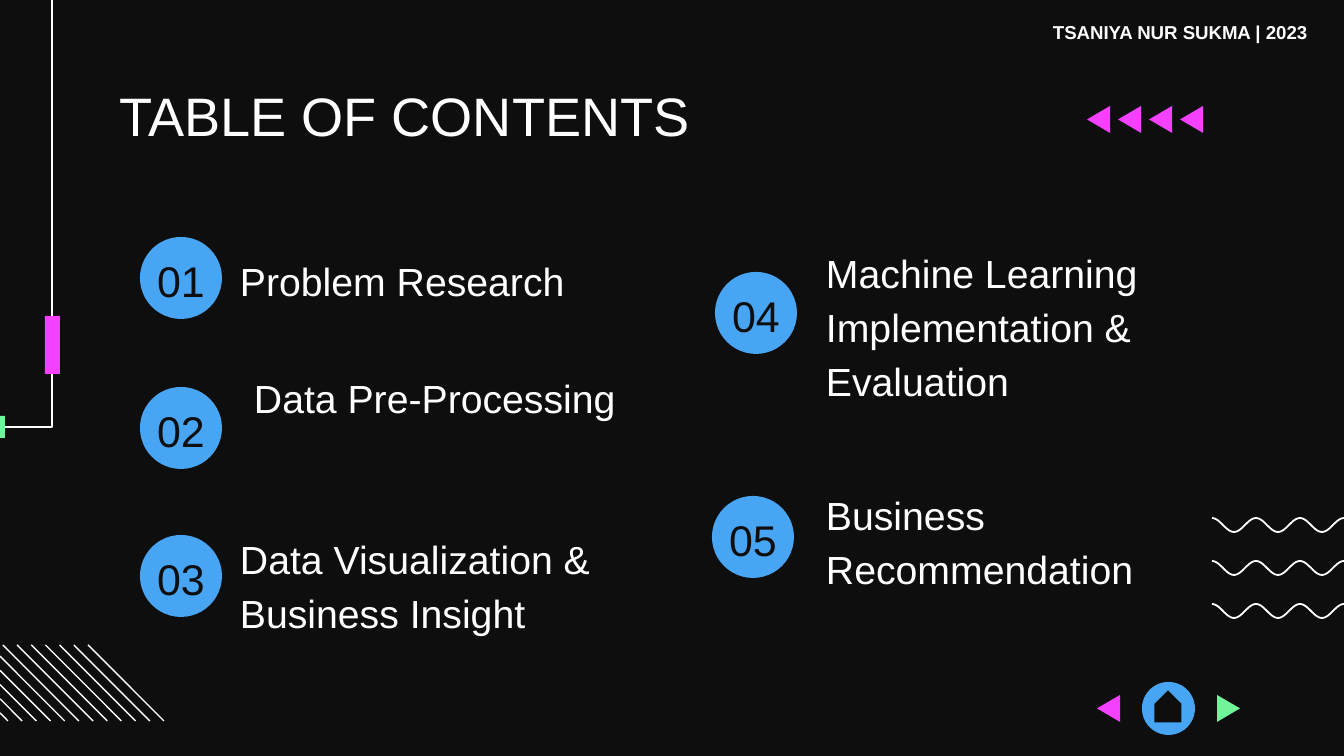
import math

from lxml import etree
from pptx import Presentation, util as u
from pptx.dml.color import RGBColor
from pptx.enum import shapes, text
from pptx.oxml.ns import qn

SCALE = u.Inches(1) / 134.4  # EMU per px
WIDTH, HEIGHT = 1344, 756
FONT = "Arial"
COLORS = {"dark": "0E0E0E", "white": "FFFFFF", "blue": "47A5F3",
          "pink": "F341FF", "green": "72F49A"}

TITLE = "TABLE OF CONTENTS"
BYLINE = "TSANIYA NUR SUKMA | 2023"
# number, badge left and top, topic, topic left and top
CONTENTS = [
    ("01", 140, 237, "Problem Research", 227, 250),
    ("02", 140, 387, "Data Pre-Processing", 241, 367),
    ("03", 140, 535, "Data Visualization & Business Insight", 227, 528),
    ("04", 715, 272, "Machine Learning Implementation & Evaluation", 813, 242),
    ("05", 712, 496, "Business Recommendation", 813, 484),
]
BADGE = 82
TOPIC_WIDTH, TOPIC_HEIGHT = 425, 52
ARROW_WIDTH, ARROW_HEIGHT = 23, 27


def px(*lengths):
    return [u.Emu(round(n * SCALE)) for n in lengths]


def rgb(name):
    return RGBColor.from_string(COLORS[name])


def paint(shape, fill=None, line=None, weight=0.75):
    shape.shadow.inherit = False
    if fill:
        shape.fill.solid()
        shape.fill.fore_color.rgb = rgb(fill)
    else:
        shape.fill.background()
    if line:
        shape.line.color.rgb = rgb(line)
        shape.line.width = u.Pt(weight)
    else:
        shape.line.fill.background()
    return shape


def add_preset(kind, left, top, width, height, fill):
    return paint(slide.shapes.add_shape(kind, *px(left, top, width, height)), fill)


def add_outline(points, close=False, **style):
    start, *rest = [px(*point) for point in points]
    builder = slide.shapes.build_freeform(*start)
    builder.add_line_segments(rest, close=close)
    return paint(builder.convert_to_shape(), **style)


def add_arrow(left, top, fill, right=False):
    tip, base = (left + ARROW_WIDTH, left) if right else (left, left + ARROW_WIDTH)
    add_outline([(base, top), (tip, top + ARROW_HEIGHT / 2),
                 (base, top + ARROW_HEIGHT)], close=True, fill=fill)


def add_line(x1, y1, x2, y2):
    line = slide.shapes.add_connector(
        shapes.MSO_CONNECTOR.STRAIGHT, *px(x1, y1, x2, y2))
    line.line.color.rgb = rgb("white")
    line.line.width = u.Pt(0.75)
    etree.SubElement(line._element.spPr, qn("a:effectLst"))


def write(shape, words, size, color="white", bold=False, align="LEFT",
          anchor="TOP", spacing=None, after=0, insets=(13, 0, 13, 0)):
    frame = shape.text_frame
    frame.word_wrap = True
    frame.vertical_anchor = text.MSO_ANCHOR[anchor]
    (frame.margin_left, frame.margin_top,
     frame.margin_right, frame.margin_bottom) = px(*insets)
    paragraph = frame.paragraphs[0]
    paragraph.alignment = text.PP_ALIGN[align]
    paragraph.space_after = u.Pt(after)
    if spacing:
        paragraph.line_spacing = spacing
    run = paragraph.add_run()
    run.text = words
    run.font.name, run.font.size, run.font.bold = FONT, u.Pt(size), bold
    run.font.color.rgb = rgb(color)


def add_text(left, top, width, height, words, size, **style):
    box = slide.shapes.add_textbox(*px(left, top, width, height))
    write(box, words, size, **style)


prs = Presentation()
prs.slide_width, prs.slide_height = px(WIDTH, HEIGHT)
slide = prs.slides.add_slide(prs.slide_layouts[6])
slide.background.fill.solid()
slide.background.fill.fore_color.rgb = rgb("dark")

# Waves at the right edge: six half periods of 22 px
WAVE_LEFT, HALF_PERIOD, AMPLITUDE = 1212, 22, 7
for wave_top in (518, 561, 604):
    add_outline([(x, wave_top + AMPLITUDE
                  * (1 - math.cos(math.pi * (x - WAVE_LEFT) / HALF_PERIOD)))
                 for x in range(WAVE_LEFT, WIDTH + 1, 2)],
                line="white", weight=0.95)

# Diagonal hatching, cut at the left edge
HATCH_BOTTOM, HATCH_SIZE, HATCH_COUNT = 721, 76, 12
for i in range(HATCH_COUNT):
    end = 8 + 156 * i / (HATCH_COUNT - 1)
    run_length = min(HATCH_SIZE, end)
    add_line(end - run_length, HATCH_BOTTOM - run_length, end, HATCH_BOTTOM)

# Corner line with its two tabs
add_outline([(0, 427), (52, 427), (52, 0)], line="white")
add_preset(shapes.MSO_SHAPE.RECTANGLE, 0, 416, 5, 22, "green")
add_preset(shapes.MSO_SHAPE.RECTANGLE, 45, 316, 15, 58, "pink")

add_text(106, 82, 1134, 62, TITLE, 29)
add_text(1016, 10, 328, 62, BYLINE, 10, bold=True, align="CENTER",
         insets=(13, 13, 13, 13))

for number, left, top, topic, topic_left, topic_top in CONTENTS:
    badge = add_preset(shapes.MSO_SHAPE.OVAL, left, top, BADGE, BADGE, "blue")
    write(badge, number, 23, color="dark", align="CENTER", anchor="MIDDLE",
          insets=(0, 5, 0, 0))
    add_text(topic_left, topic_top, TOPIC_WIDTH, TOPIC_HEIGHT, topic, 21,
             spacing=1.15, after=12)

for i in range(4):
    add_arrow(1087 + 31 * i, 106, "pink")

# Navigation: back, home, forward
add_arrow(1097, 695, "pink")
add_preset(shapes.MSO_SHAPE.OVAL, 1142, 682, 53, 53, "blue")
home = add_preset(shapes.MSO_SHAPE.PENTAGON, 1152, 693, 32, 27, "dark")
home.rotation = 270
add_arrow(1217, 695, "green", right=True)

prs.save("out.pptx")
